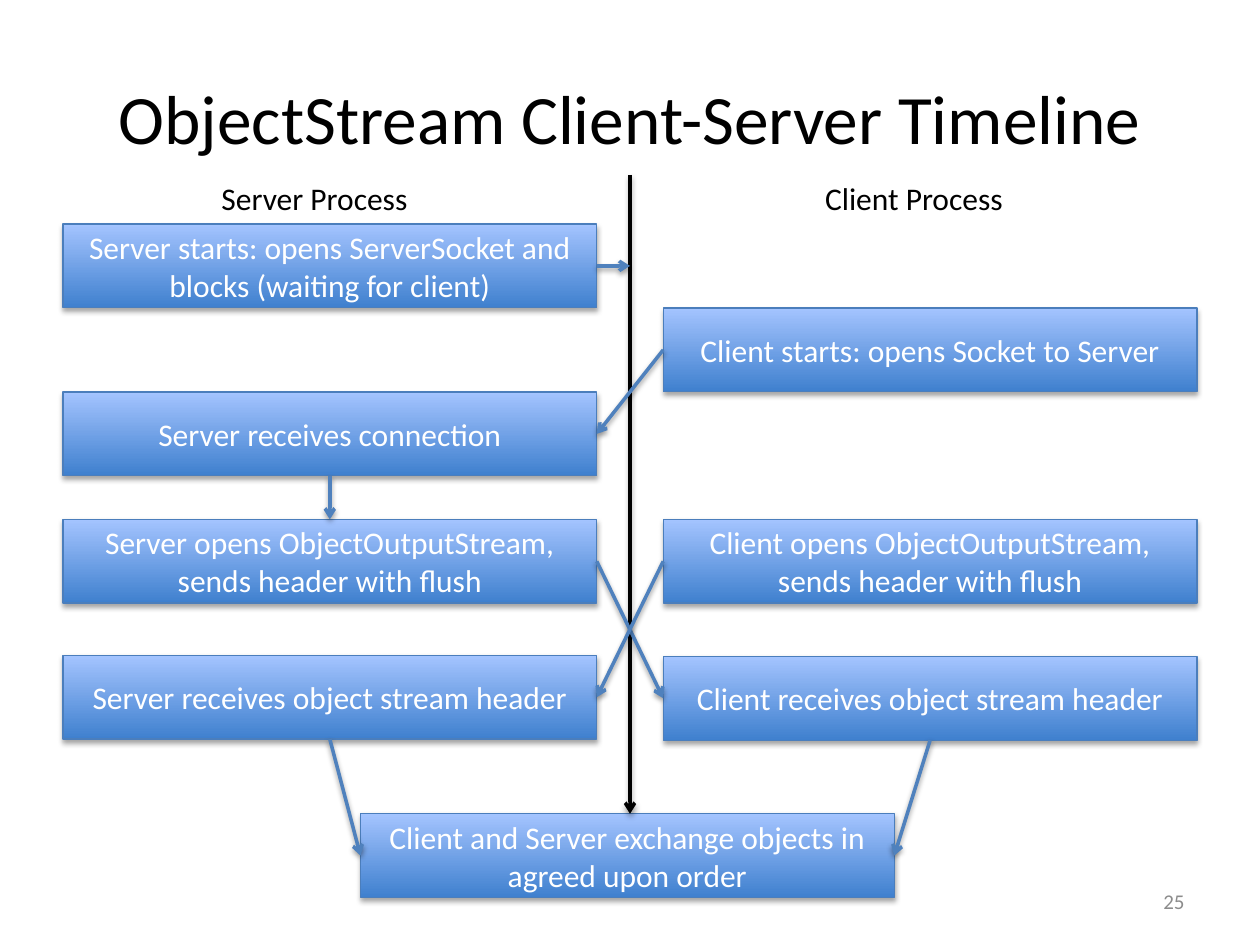
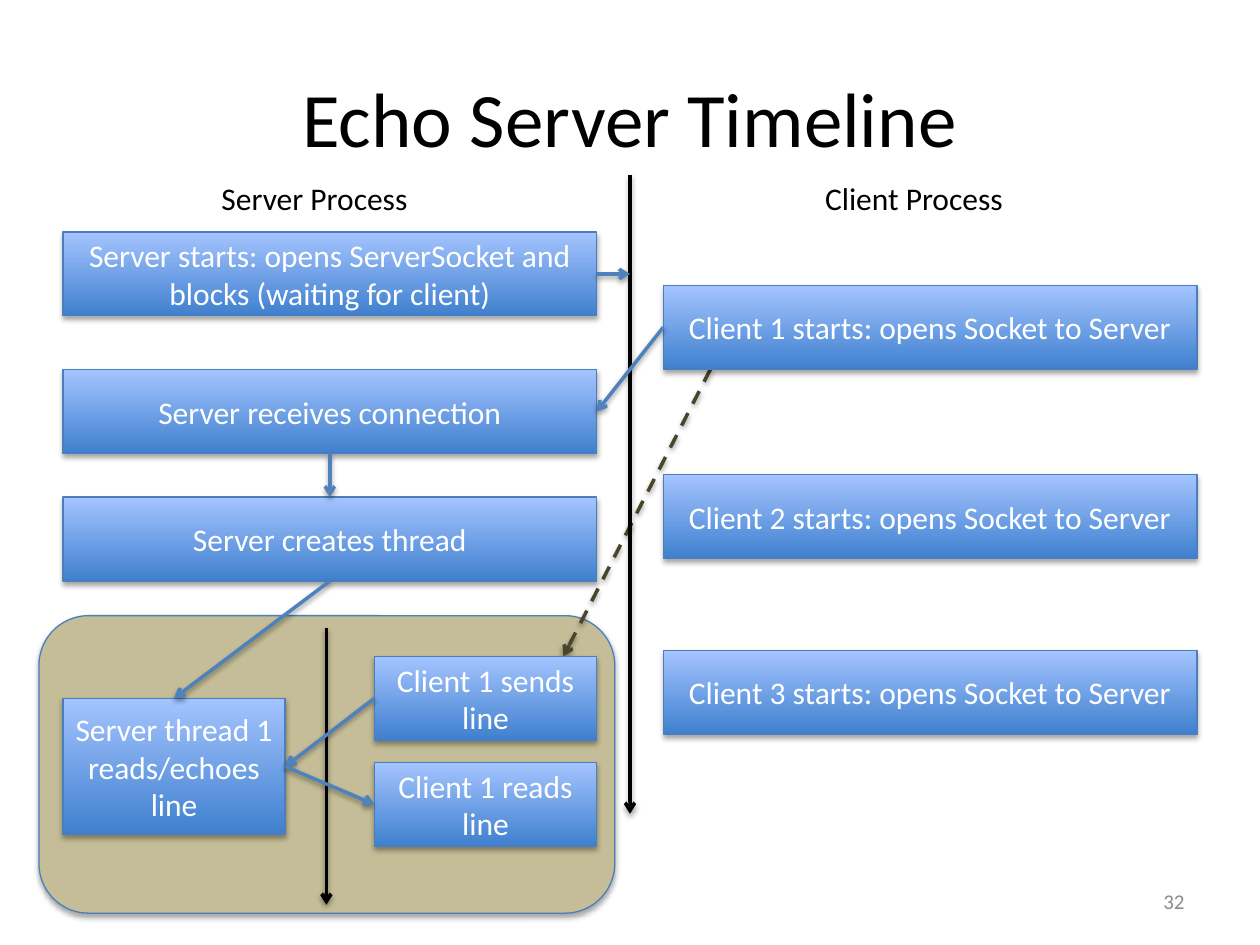
"""Build two client-server timeline slides."""
from dataclasses import dataclass

from lxml import etree
from pptx import Presentation
from pptx.dml.color import RGBColor
from pptx.enum.dml import MSO_LINE
from pptx.enum.shapes import MSO_CONNECTOR, MSO_SHAPE
from pptx.enum.text import MSO_ANCHOR, MSO_AUTO_SIZE, PP_ALIGN
from pptx.oxml.ns import qn
from pptx.shapes.autoshape import Shape
from pptx.shapes.connector import Connector
from pptx.slide import Slide
from pptx.text.text import TextFrame
from pptx.util import Pt

RECTANGLE = MSO_SHAPE.RECTANGLE
ROUNDED = MSO_SHAPE.ROUNDED_RECTANGLE
STRAIGHT = MSO_CONNECTOR.STRAIGHT
DASH = MSO_LINE.DASH
LEFT_ALIGN, CENTER, RIGHT_ALIGN = PP_ALIGN.LEFT, PP_ALIGN.CENTER, PP_ALIGN.RIGHT
TOP_ANCHOR, MIDDLE = MSO_ANCHOR.TOP, MSO_ANCHOR.MIDDLE
NO_FIT = MSO_AUTO_SIZE.NONE

# Connection sites of a rectangle
TOP, LEFT, BOTTOM, RIGHT = range(4)

FONT = "Calibri"
BLACK, WHITE, GREY = "000000", "FFFFFF", "8C8C8C"
BOX_LOW, BOX_HIGH, BOX_EDGE = "3F80CE", "A4C4FF", "4B7EBC"
ARROW_BLUE, THREAD_TAN, DARK_TAN = "4F81BD", "C4BD97", "4A452A"

# Shared grid, in points
TITLE_ONLY = 5
SERVER_X, CLIENT_X = 36, 379
STEP_WIDTH, STEP_HEIGHT = 305, 47.9
HALF_WIDTH = 127
INNER_CLIENT_X = SERVER_X + STEP_WIDTH - HALF_WIDTH
AXIS_X, AXIS_TOP, AXIS_END = 360, 100, 465


@dataclass(frozen=True)
class Step:
    """One box of a timeline, in points."""
    text: str
    left: float
    top: float
    width: float = STEP_WIDTH
    height: float = STEP_HEIGHT


@dataclass(frozen=True)
class Link:
    """An arrow between sites of two steps, given by their keys."""
    source: str
    source_site: int
    target: str
    target_site: int


def rgb(color: str) -> RGBColor:
    """Turn a hex string into a colour."""
    return RGBColor.from_string(color)


def write(frame: TextFrame, text: str, *, size: float = 18, color: str = BLACK,
          align: PP_ALIGN = CENTER, anchor: MSO_ANCHOR = MIDDLE,
          wrap: bool = True) -> None:
    """Put formatted text in a frame."""
    frame.word_wrap = wrap
    frame.auto_size = NO_FIT
    frame.vertical_anchor = anchor
    paragraph = frame.paragraphs[0]
    paragraph.alignment = align
    run = paragraph.add_run()
    run.text = text
    run.font.name = FONT
    run.font.size = Pt(size)
    run.font.color.rgb = rgb(color)


def add_shadow(item: Shape | Connector, distance: float, opacity: int) -> None:
    """Give an outlined shape or connector a soft shadow below it."""
    effects = etree.SubElement(item._element.spPr, qn("a:effectLst"))
    shadow = etree.SubElement(
        effects, qn("a:outerShdw"), blurRad=str(Pt(3.1)), dist=str(Pt(distance)),
        dir="5400000", rotWithShape="0")
    black = etree.SubElement(shadow, qn("a:srgbClr"), val=BLACK)
    etree.SubElement(black, qn("a:alpha"), val=str(opacity * 1000))


def add_panel(slide: Slide, kind: MSO_SHAPE, left: float, top: float,
              width: float, height: float) -> Shape:
    """Add an outlined shape with a shadow, its fill still open."""
    panel = slide.shapes.add_shape(kind, Pt(left), Pt(top), Pt(width), Pt(height))
    panel.fill.solid()
    panel.line.color.rgb = rgb(BOX_EDGE)
    panel.line.width = Pt(0.75)
    add_shadow(panel, 1.8, 35)
    return panel


def add_step(slide: Slide, step: Step) -> Shape:
    """Draw one step as a gradient box with white text."""
    box = add_panel(slide, RECTANGLE, step.left, step.top, step.width, step.height)
    box.fill.gradient()
    box.fill.gradient_angle = 90
    for stop, color in zip(box.fill.gradient_stops, (BOX_LOW, BOX_HIGH)):
        stop.color.rgb = rgb(color)
    write(box.text_frame, step.text, color=WHITE)
    return box


def add_arrow(slide: Slide, start: tuple[float, float], end: tuple[float, float],
              color: str = ARROW_BLUE, dashed: bool = False) -> Connector:
    """Draw a straight arrow between two points."""
    arrow = slide.shapes.add_connector(
        STRAIGHT, *(Pt(length) for length in (*start, *end)))
    arrow.line.color.rgb = rgb(color)
    arrow.line.width = Pt(2)
    if dashed:
        arrow.line.dash_style = DASH
    etree.SubElement(arrow.line._get_or_add_ln(), qn("a:tailEnd"), type="arrow")
    add_shadow(arrow, 1.6, 38)
    return arrow


def add_label(slide: Slide, text: str, left: float, top: float, width: float,
              **text_format) -> None:
    """Add a one-line text box."""
    label = slide.shapes.add_textbox(Pt(left), Pt(top), Pt(width), Pt(29))
    write(label.text_frame, text, **text_format)


def add_frame(deck: Presentation, title: str, title_size: float, number: int) -> Slide:
    """Add a slide with its title, page number and column headings."""
    slide = deck.slides.add_slide(deck.slide_layouts[TITLE_ONLY])
    heading = slide.shapes.title
    heading.left, heading.top = Pt(36), Pt(21.6)
    heading.width, heading.height = Pt(648), Pt(90)
    write(heading.text_frame, title, size=title_size)
    add_label(slide, str(number), 516, 500.5, 168, size=12, color=GREY,
              align=RIGHT_ALIGN)
    for process, left, width in (("Server", 119.5, 122.4), ("Client", 464.4, 117.4)):
        add_label(slide, f"{process} Process", left, 98.6, width,
                  align=LEFT_ALIGN, anchor=TOP_ANCHOR, wrap=False)
    return slide


def add_timeline(slide: Slide, steps: dict[str, Step], links: list[Link]) -> None:
    """Draw the steps, the time axis and the arrows between steps."""
    boxes = {key: add_step(slide, step) for key, step in steps.items()}
    add_arrow(slide, (AXIS_X, AXIS_TOP), (AXIS_X, AXIS_END), BLACK)
    start = steps["start"]
    middle = start.top + start.height / 2
    waiting = add_arrow(slide, (start.left + start.width, middle), (AXIS_X, middle))
    waiting.begin_connect(boxes["start"], RIGHT)
    for link in links:
        arrow = add_arrow(slide, (0, 0), (0, 0))
        arrow.begin_connect(boxes[link.source], link.source_site)
        arrow.end_connect(boxes[link.target], link.target_site)


def build_object_stream(deck: Presentation) -> None:
    """Build the slide on exchanging object streams."""
    slide = add_frame(deck, "ObjectStream Client-Server Timeline", 39.6, 25)
    steps = {
        "start": Step("Server starts: opens ServerSocket and blocks "
                      "(waiting for client)", SERVER_X, 128),
        "client": Step("Client starts: opens Socket to Server", CLIENT_X, 176),
        "connection": Step("Server receives connection", SERVER_X, 224),
        "exchange": Step("Client and Server exchange objects in agreed upon order",
                         206, AXIS_END),
    }
    for process, left, header_top in (("Server", SERVER_X, 374.5),
                                      ("Client", CLIENT_X, 375.1)):
        steps[f"{process} opens"] = Step(
            f"{process} opens ObjectOutputStream, sends header with flush", left, 296.8)
        steps[f"{process} header"] = Step(
            f"{process} receives object stream header", left, header_top)
    add_timeline(slide, steps, [
        Link("client", LEFT, "connection", RIGHT),
        Link("connection", BOTTOM, "Server opens", TOP),
        Link("Server opens", RIGHT, "Client header", LEFT),
        Link("Client opens", LEFT, "Server header", RIGHT),
        Link("Server header", BOTTOM, "exchange", LEFT),
        Link("Client header", BOTTOM, "exchange", RIGHT),
    ])


def build_echo_server(deck: Presentation) -> None:
    """Build the slide on the threaded echo server."""
    slide = add_frame(deck, "Echo Server Timeline", 44, 32)
    thread_area = add_panel(slide, ROUNDED, 22.3, 351.8, 329, 170)
    thread_area.fill.fore_color.rgb = rgb(THREAD_TAN)
    add_arrow(slide, (186.5, 359), (186.5, 517), BLACK)
    add_arrow(slide, (406, 211), (322, 375), DARK_TAN, dashed=True)

    steps = {
        "start": Step("Server starts: opens ServerSocket and blocks "
                      "(waiting for client)", SERVER_X, 132.6),
        "connection": Step("Server receives connection", SERVER_X, 211.2),
        "create": Step("Server creates thread", SERVER_X, 284.1),
        "sends": Step("Client 1 sends line", INNER_CLIENT_X, 375.1, HALF_WIDTH),
        "thread": Step("Server thread 1 reads/echoes line", SERVER_X, 399,
                       HALF_WIDTH, 78),
        "reads": Step("Client 1 reads line", INNER_CLIENT_X, 435.7, HALF_WIDTH),
    }
    for number, top in enumerate((163.1, 271.3, 371.7), start=1):
        steps[f"client {number}"] = Step(
            f"Client {number} starts: opens Socket to Server", CLIENT_X, top)
    add_timeline(slide, steps, [
        Link("client 1", LEFT, "connection", RIGHT),
        Link("connection", BOTTOM, "create", TOP),
        Link("sends", LEFT, "thread", RIGHT),
        Link("thread", RIGHT, "reads", LEFT),
        Link("create", BOTTOM, "thread", TOP),
    ])


def main() -> None:
    """Build and save the deck."""
    deck = Presentation()
    deck.slide_width, deck.slide_height = Pt(720), Pt(540)
    build_object_stream(deck)
    build_echo_server(deck)
    deck.save("out.pptx")


main()
